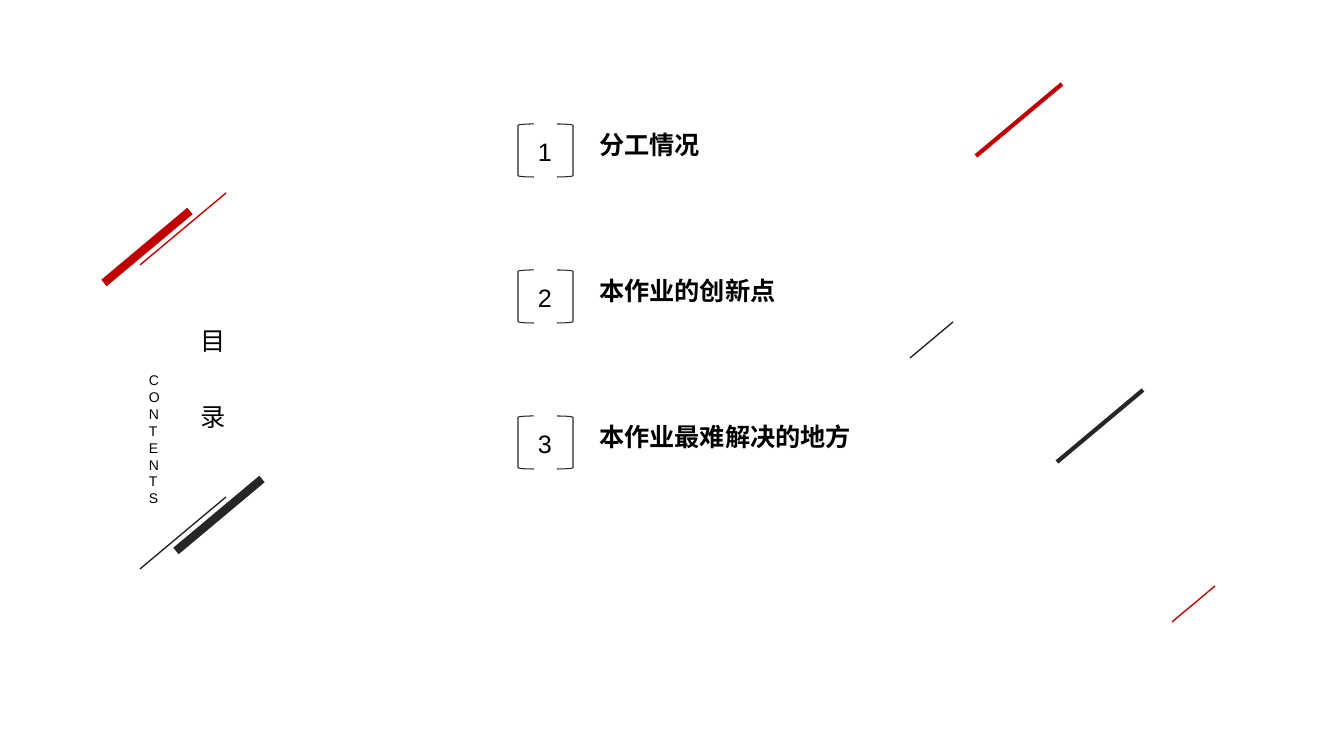
from dataclasses import dataclass

from lxml.etree import SubElement
from pptx import Presentation
from pptx.dml.color import RGBColor
from pptx.enum.shapes import MSO_CONNECTOR as Link, MSO_SHAPE as Shape
from pptx.enum.text import MSO_ANCHOR as Anchor, MSO_AUTO_SIZE as Fit, PP_ALIGN as Align
from pptx.oxml.ns import qn
from pptx.util import Pt

# Content
TITLE = "目\n录"
LABEL = "CONTENTS"
ITEMS = ["分工情况", "本作业的创新点", "本作业最难解决的地方"]

# Slanted strokes: right end, top end, length in half steps, colour, weight
STROKES = [
    (190, 211, 2, "red", 6),
    (226, 193, 2, "red", 1),
    (262, 479, 2, "dark", 6),
    (226, 497, 2, "dark", 1),
    (1062, 84, 2, "red", 3),
    (953, 322, 1, "dark", 1),
    (1215, 586, 1, "red", 1),
    (1143, 390, 2, "dark", 3),
]


@dataclass(frozen=True)
class Theme:
    red: RGBColor = RGBColor(0xC0, 0x00, 0x00)
    dark: RGBColor = RGBColor(0x26, 0x26, 0x26)
    ink: RGBColor = RGBColor(0x00, 0x00, 0x00)
    font: str = "Arial"
    large: int = 18
    small: int = 10


THEME = Theme()

# Geometry in px
SCALE = 914400 / 100.8
WIDE, HIGH = 1344, 756
STEP_X, STEP_Y = 43, 36
ROW_TOP, ROW_GAP = 124, 146
LINE_H = 40


def px(*sizes):
    return [round(size * SCALE) for size in sizes]


def place(shape, *box):
    shape.left, shape.top, shape.width, shape.height = px(*box)


def write(shape, text, size, bold=False, wrap=False, gap=1.0):
    frame = shape.text_frame
    frame.text = text
    frame.word_wrap = wrap
    frame.auto_size = Fit.NONE
    frame.vertical_anchor = Anchor.TOP
    for para in frame.paragraphs:
        para.alignment = Align.LEFT
        para.line_spacing = gap
        para.space_before = Pt(0)
        for run in para.runs:
            font = run.font
            font.name, font.size, font.bold = THEME.font, Pt(size), bold
            font.color.rgb = THEME.ink


def unbullet(shape):
    for para in shape.text_frame.paragraphs:
        props = para._p.get_or_add_pPr()
        props.set("marL", "0")
        props.set("indent", "0")
        SubElement(props, qn("a:buNone"))


def stroke(slide, right, top, steps, tint, weight):
    ends = px(right, top, right - steps * STEP_X, top + steps * STEP_Y)
    line = slide.shapes.add_connector(Link.STRAIGHT, *ends)
    line.line.color.rgb = getattr(THEME, tint)
    line.line.width = Pt(weight)
    SubElement(line._element.spPr, qn("a:effectLst"))


def bracket(slide, kind, left, top):
    shape = slide.shapes.add_shape(kind, *px(left, top, 16, 53))
    shape.shadow.inherit = False
    shape.fill.background()
    shape.line.color.rgb = THEME.dark
    shape.line.width = Pt(0.75)


def entry(slide, index, text, body):
    top = ROW_TOP + index * ROW_GAP
    number = slide.shapes.add_textbox(*px(528, top + 7, 34, LINE_H))
    write(number, str(index + 1), THEME.large)
    bracket(slide, Shape.LEFT_BRACKET, 518, top)
    bracket(slide, Shape.RIGHT_BRACKET, 557, top)
    # Width follows the number of characters
    place(body, 589, top, 20 + len(text) * 51 // 2, LINE_H)
    write(body, text, THEME.large, bold=True)
    unbullet(body)


def main():
    deck = Presentation()
    deck.slide_width, deck.slide_height = px(WIDE, HIGH)
    # The comparison layout offers a title and four bodies
    slide = deck.slides.add_slide(deck.slide_layouts[4])
    title, *bodies = list(slide.placeholders)

    # Decoration
    for mark in STROKES:
        stroke(slide, *mark)

    # Heading
    place(title, 190, 275, 45, 163)
    write(title, TITLE, THEME.large, gap=2.5)
    label = slide.shapes.add_textbox(*px(139, 367, 25, 146))
    write(label, LABEL, THEME.small, wrap=True)

    # Agenda
    for index, (text, body) in enumerate(zip(ITEMS, bodies)):
        entry(slide, index, text, body)
    for spare in bodies[len(ITEMS):]:
        spare._element.getparent().remove(spare._element)

    deck.save("out.pptx")


if __name__ == "__main__":
    main()
